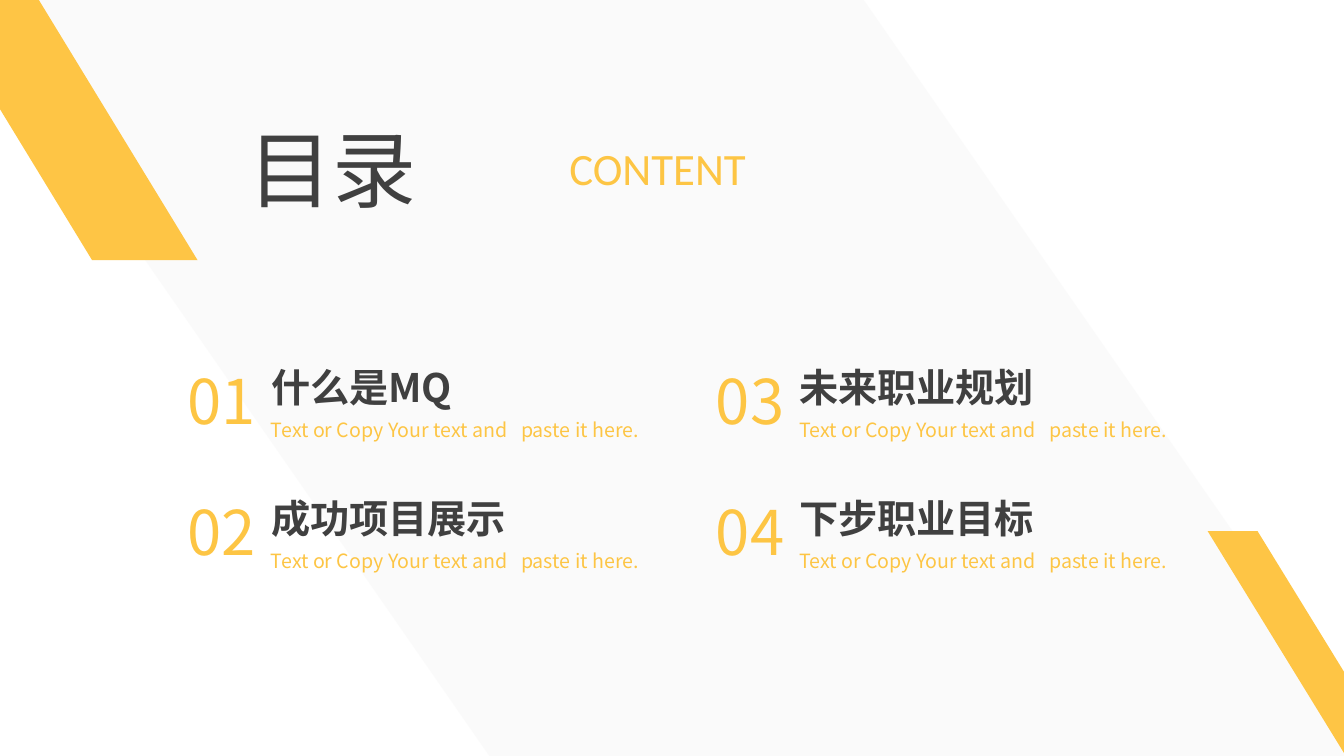
import dataclasses
import typing

import pptx
import pptx.dml.color
import pptx.enum.shapes
import pptx.enum.text
import pptx.oxml
import pptx.oxml.ns
import pptx.util
import lxml.etree

Pt = pptx.util.Pt
Align = pptx.enum.text.PP_ALIGN

COLORS = {"band": "F2F2F2", "accent": "FEC545", "accent_text": "FDC544", "dark": "404040"}
BODY_FONT = "Noto Sans CJK SC"
PAGE_WIDTH, PAGE_HEIGHT = 960, 540
BAND_OPACITY = 32
BAND_POINTS = [(0, 0), (617, 0), (960, 494), (960, 540), (349.5, 540), (0, 36.5)]

ENTRY_LEFT, ENTRY_TOP = 124, 255.6
COLUMN_STEP, ROW_STEP = 377.3, 93.5
ENTRIES_PER_COLUMN = 2
ENTRY_TITLES = ["什么是MQ", "成功项目展示", "未来职业规划", "下步职业目标"]
CAPTION_PARTS = ("Text or Copy Your text and", "paste it here.")
CAPTION_GAP = 6.3


@dataclasses.dataclass(frozen=True)
class Stripe:
    left: float
    top: float
    width: float
    height: float
    slant: float


@dataclasses.dataclass(frozen=True)
class TextStyle:
    size: float
    color: str
    font: str = BODY_FONT
    bold: bool = False
    align: Align = Align.LEFT


@dataclasses.dataclass(frozen=True)
class TextSpot:
    left: float
    top: float
    width: float
    height: float
    style: TextStyle


STRIPES = [
    Stripe(-105.1, -94.3, 246.2, 280.1, 0.694),
    Stripe(862.6, 379.4, 195.8, 260.6, 0.818),
]
HEADING = TextSpot(170.6, 80.6, 198.7, 80, TextStyle(60, "dark", "Lato", align=Align.JUSTIFY))
SUBHEADING = TextSpot(399.6, 97.2, 427.7, 46, TextStyle(32, "accent_text", "Calibri", align=Align.JUSTIFY))

# Places within one entry, measured from its top left corner
NUMBER = TextSpot(0, 0, 69, 60.5, TextStyle(44, "accent_text", align=Align.CENTER))
TITLE = TextSpot(62.5, 0.7, 190, 41, TextStyle(28, "dark", bold=True))
CAPTION = TextSpot(62.5, 39.4, 341.3, 24.5, TextStyle(14, "accent_text"))


def rgb(name: str) -> pptx.dml.color.RGBColor:
    return pptx.dml.color.RGBColor.from_string(COLORS[name])


def paint(shape: typing.Any, color: str) -> None:
    """Give a shape a plain fill with no line or shadow."""
    shape.shadow.inherit = False
    shape.fill.solid()
    shape.fill.fore_color.rgb = rgb(color)
    shape.line.fill.background()


def draw_band(page: typing.Any) -> None:
    start, *others = [(Pt(x), Pt(y)) for x, y in BAND_POINTS]
    builder = page.shapes.build_freeform(*start)
    builder.add_line_segments(others, close=True)
    band = builder.convert_to_shape()
    paint(band, "band")
    color = band.element.spPr.find(".//" + pptx.oxml.ns.qn("a:srgbClr"))
    alpha = lxml.etree.SubElement(color, pptx.oxml.ns.qn("a:alpha"))
    alpha.set("val", str(BAND_OPACITY * 1000))


def draw_stripe(page: typing.Any, stripe: Stripe) -> None:
    shape = page.shapes.add_shape(
        pptx.enum.shapes.MSO_SHAPE.PARALLELOGRAM,
        Pt(stripe.left), Pt(stripe.top), Pt(stripe.width), Pt(stripe.height),
    )
    shape.adjustments[0] = stripe.slant
    shape.element.spPr.find(pptx.oxml.ns.qn("a:xfrm")).set("flipV", "1")
    paint(shape, "accent")


def add_span(para: typing.Any, text: str, style: TextStyle) -> typing.Any:
    span = para.add_run()
    span.text = text
    span.font.size = Pt(style.size)
    span.font.bold = style.bold
    span.font.color.rgb = rgb(style.color)
    span.font.name = style.font
    properties = span.font._element
    east_asian = lxml.etree.Element(pptx.oxml.ns.qn("a:ea"), typeface=BODY_FONT)
    properties.find(pptx.oxml.ns.qn("a:latin")).addnext(east_asian)
    return span


def add_text(shapes: typing.Any, spot: TextSpot, text: str = "", left: float = 0, top: float = 0) -> typing.Any:
    """Place a text box at its spot, shifted by left and top, and return its paragraph."""
    box = shapes.add_textbox(Pt(left + spot.left), Pt(top + spot.top), Pt(spot.width), Pt(spot.height))
    box.text_frame.word_wrap = True
    box.text_frame.auto_size = pptx.enum.text.MSO_AUTO_SIZE.SHAPE_TO_FIT_TEXT
    para = box.text_frame.paragraphs[0]
    para.alignment = spot.style.align
    if text:
        add_span(para, text, spot.style)
    return para


def draw_entry(page: typing.Any, index: int, title: str) -> None:
    column, row = divmod(index, ENTRIES_PER_COLUMN)
    left = ENTRY_LEFT + column * COLUMN_STEP
    top = ENTRY_TOP + row * ROW_STEP
    shapes = page.shapes.add_group_shape().shapes
    add_text(shapes, NUMBER, f"{index + 1:02d}", left, top)
    add_text(shapes, TITLE, title, left, top)
    caption = add_text(shapes, CAPTION, left=left, top=top)
    before, after = CAPTION_PARTS
    add_span(caption, before, CAPTION.style)
    gap = add_span(caption, " ", CAPTION.style)
    gap.font._element.set("spc", str(round(CAPTION_GAP * 100)))
    add_span(caption, after, CAPTION.style)


def main() -> None:
    deck = pptx.Presentation()
    deck.slide_width, deck.slide_height = Pt(PAGE_WIDTH), Pt(PAGE_HEIGHT)
    page = deck.slides.add_slide(deck.slide_layouts[6])
    draw_band(page)
    for stripe in STRIPES:
        draw_stripe(page, stripe)
    add_text(page.shapes, HEADING, "目录")
    add_text(page.shapes, SUBHEADING, "CONTENT")
    for index, title in enumerate(ENTRY_TITLES):
        draw_entry(page, index, title)
    deck.save("out.pptx")


if __name__ == "__main__":
    main()
